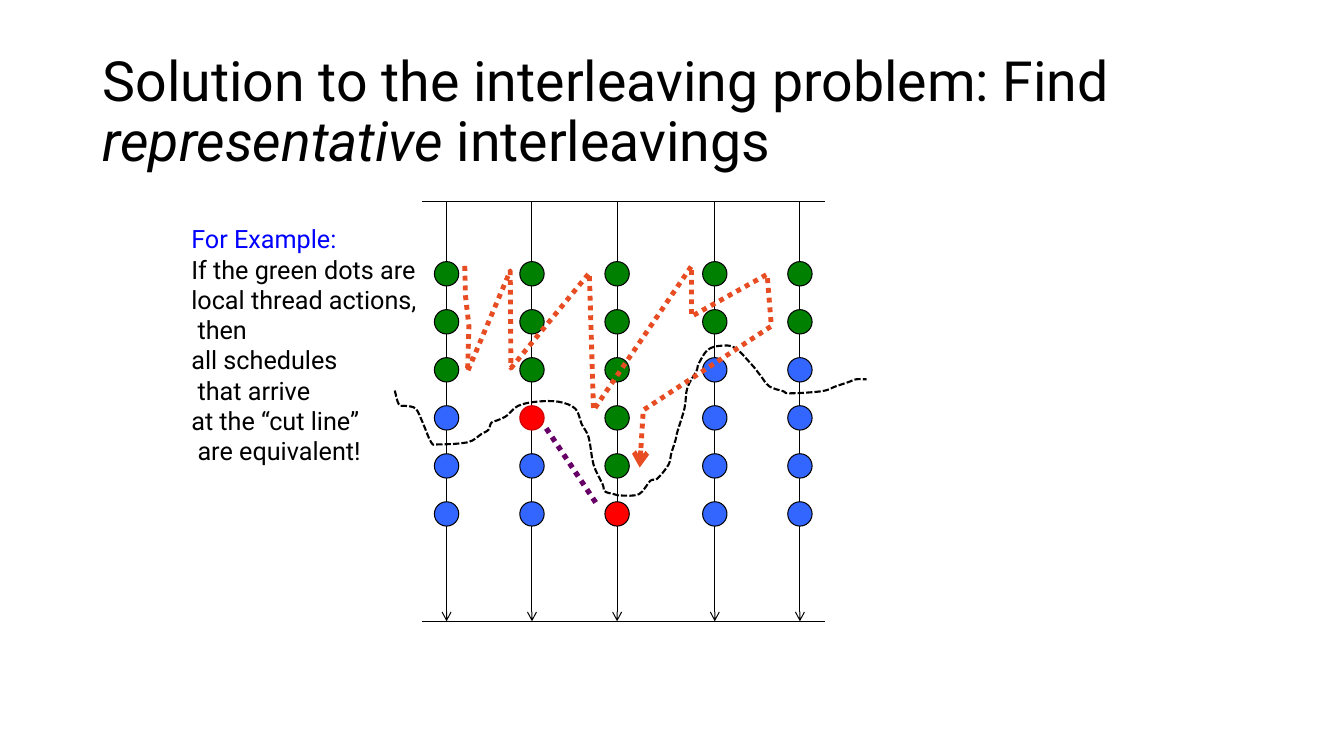
from dataclasses import dataclass

from lxml.etree import SubElement
from pptx import Presentation
from pptx.dml.color import RGBColor
from pptx.enum.dml import MSO_LINE as Dash
from pptx.enum.shapes import MSO_CONNECTOR as Connector, MSO_SHAPE as Shape
from pptx.enum.text import MSO_ANCHOR as Anchor, MSO_AUTO_SIZE as AutoSize, PP_ALIGN as Align
from pptx.oxml.ns import qn
from pptx.util import Pt


@dataclass(frozen=True)
class Theme:
    font: str = "Roboto"
    title_size: float = 39.6
    body_size: float = 18
    ink: str = "000000"
    heading: str = "0000FF"
    local: str = "008000"
    later: str = "3366FF"
    conflict: str = "FF0000"
    conflict_edge: str = "CC0000"
    schedule: str = "E84C22"
    dependency: str = "660066"
    thin: float = 0.75


THEME = Theme()
TITLE = [("Solution to the interleaving problem: Find ", False),
         ("representative ", True), ("interleavings", False)]
EXAMPLE = ["For Example:", "If the green dots are", "local thread actions,", " then",
           "all schedules", " that arrive", "at the “cut line”", " are equivalent!"]

# Thread centre -> its actions from top to bottom (L local, B later, R conflict)
THREADS = {319: "LLLBBB", 380: "LLLRBB", 440.8: "LLLLLR", 510.6: "LLBBBB", 571.4: "LLBBBB"}
ACTION_FILL = {"L": THEME.local, "B": THEME.later, "R": THEME.conflict}
START_Y, END_Y = 144, 443.8
BAR_LEFT, BAR_RIGHT = 301.6, 589
FIRST_ACTION_Y, ACTION_STEP, DOT = 195.6, 34.3, 17.4

CUT_LINE = [
    (282, 279), (285, 289), (290, 290), (297, 292), (302, 302), (308, 316), (313, 317.5),
    (334, 316), (344, 310), (349, 307), (351, 302), (356, 300), (362, 297), (370, 290),
    (383, 287), (399, 287), (411, 292), (415.5, 303), (420.5, 312.5), (424, 332),
    (430.5, 346), (432, 351), (438.5, 353), (443.5, 354), (456.5, 353), (464.5, 343.5),
    (469.5, 342), (477.5, 332), (479.5, 324), (482.5, 314.5), (484, 308), (489, 291.5),
    (491, 277), (497.5, 265), (499, 260), (505.5, 250), (515, 247), (525, 248.5),
    (536.5, 260), (543, 268), (549.5, 276), (559.5, 279.5), (564, 281), (587, 279.5),
    (597, 276), (606, 273), (611.5, 271), (619, 271)]
SCHEDULE = [
    (332, 190), (332.5, 211), (335, 233), (334, 265.5), (364.5, 193.5), (365, 263),
    (421, 195), (424, 293), (494, 190), (494, 226), (548, 196), (551, 233),
    (459.5, 293), (457, 334)]


def smooth_curve(knots, steps=4):
    """Return points on a Catmull-Rom curve through the knots."""
    padded = [knots[0], *knots, knots[-1]]
    points = []
    for a, b, c, d in zip(padded, padded[1:], padded[2:], padded[3:]):
        for t in (step / steps for step in range(steps)):
            points.append(tuple(
                q + t / 2 * (r - p + t * (2 * p - 5 * q + 4 * r - s
                                          + t * (3 * (q - r) + s - p)))
                for p, q, r, s in zip(a, b, c, d)))
    return points + [knots[-1]]


def add_run(paragraph, text, size=THEME.body_size, color=THEME.ink, italic=False):
    run = paragraph.add_run()
    run.text = text
    run.font.name = THEME.font
    run.font.size = Pt(size)
    run.font.italic = italic
    run.font.color.rgb = RGBColor.from_string(color)


class SlideBuilder:
    def __init__(self, slide, theme):
        self.slide = slide
        self.theme = theme

    def style_line(self, shape, color=None, width=None, dash=None, arrow=False):
        shape.line.color.rgb = RGBColor.from_string(color or self.theme.ink)
        shape.line.width = Pt(width or self.theme.thin)
        if dash is not None:
            shape.line.dash_style = dash
        if arrow:
            outline = shape._element.spPr.find(qn("a:ln"))
            SubElement(outline, qn("a:tailEnd"), type="arrow")

    def title(self, parts, left, top, width, height):
        title = self.slide.shapes.title
        title.left, title.top, title.width, title.height = map(Pt, (left, top, width, height))
        frame = title.text_frame
        frame.word_wrap = True
        frame.auto_size = AutoSize.NONE
        frame.vertical_anchor = Anchor.MIDDLE
        paragraph = frame.paragraphs[0]
        paragraph.alignment = Align.LEFT
        paragraph.line_spacing = 0.9
        for text, italic in parts:
            add_run(paragraph, text, size=self.theme.title_size, italic=italic)

    def text(self, lines, left, top, width, height):
        """Add lines of text, the first one in the heading colour."""
        frame = self.slide.shapes.add_textbox(*map(Pt, (left, top, width, height))).text_frame
        frame.word_wrap = False
        frame.auto_size = AutoSize.SHAPE_TO_FIT_TEXT
        for index, line in enumerate(lines):
            paragraph = frame.add_paragraph() if index else frame.paragraphs[0]
            add_run(paragraph, line, color=self.theme.ink if index else self.theme.heading)

    def line(self, x1, y1, x2, y2, **style):
        connector = self.slide.shapes.add_connector(
            Connector.STRAIGHT, *map(Pt, (x1, y1, x2, y2)))
        self.style_line(connector, **style)
        SubElement(connector._element.spPr, qn("a:effectLst"))

    def dot(self, x, y, fill, edge):
        """Add an action dot centred on x, y."""
        dot = self.slide.shapes.add_shape(
            Shape.OVAL, *map(Pt, (x - DOT / 2, y - DOT / 2, DOT, DOT)))
        dot.shadow.inherit = False
        dot.fill.solid()
        dot.fill.fore_color.rgb = RGBColor.from_string(fill)
        self.style_line(dot, color=edge)

    def route(self, points, **style):
        """Add an open, unfilled outline through the points."""
        start, *rest = [(Pt(x), Pt(y)) for x, y in points]
        builder = self.slide.shapes.build_freeform(*start)
        builder.add_line_segments(rest, close=False)
        route = builder.convert_to_shape()
        route.shadow.inherit = False
        route.fill.background()
        self.style_line(route, **style)


def main():
    deck = Presentation()
    deck.slide_width, deck.slide_height = Pt(960), Pt(540)
    page = SlideBuilder(deck.slides.add_slide(deck.slide_layouts[5]), THEME)

    page.title(TITLE, 66.2, 28.8, 828, 104.4)
    for bar_y in (START_Y, END_Y):
        page.line(BAR_LEFT, bar_y, BAR_RIGHT, bar_y)
    for thread_index, (x, actions) in enumerate(THREADS.items()):
        page.line(x, START_Y, x, END_Y, arrow=True)
        for row, action in enumerate(actions):
            red_edge = action == "R" and thread_index == 1
            page.dot(x, FIRST_ACTION_Y + row * ACTION_STEP, ACTION_FILL[action],
                     THEME.conflict_edge if red_edge else THEME.ink)

    page.route(smooth_curve(CUT_LINE), width=1.5, dash=Dash.SQUARE_DOT)
    page.route(SCHEDULE, color=THEME.schedule, width=3.5, dash=Dash.ROUND_DOT, arrow=True)
    page.text(EXAMPLE, 129.6, 156.2, 182.9, 181.4)
    page.line(390.2, 306, 426.2, 360, color=THEME.dependency, width=3.75, dash=Dash.ROUND_DOT)
    deck.save("out.pptx")


if __name__ == "__main__":
    main()
